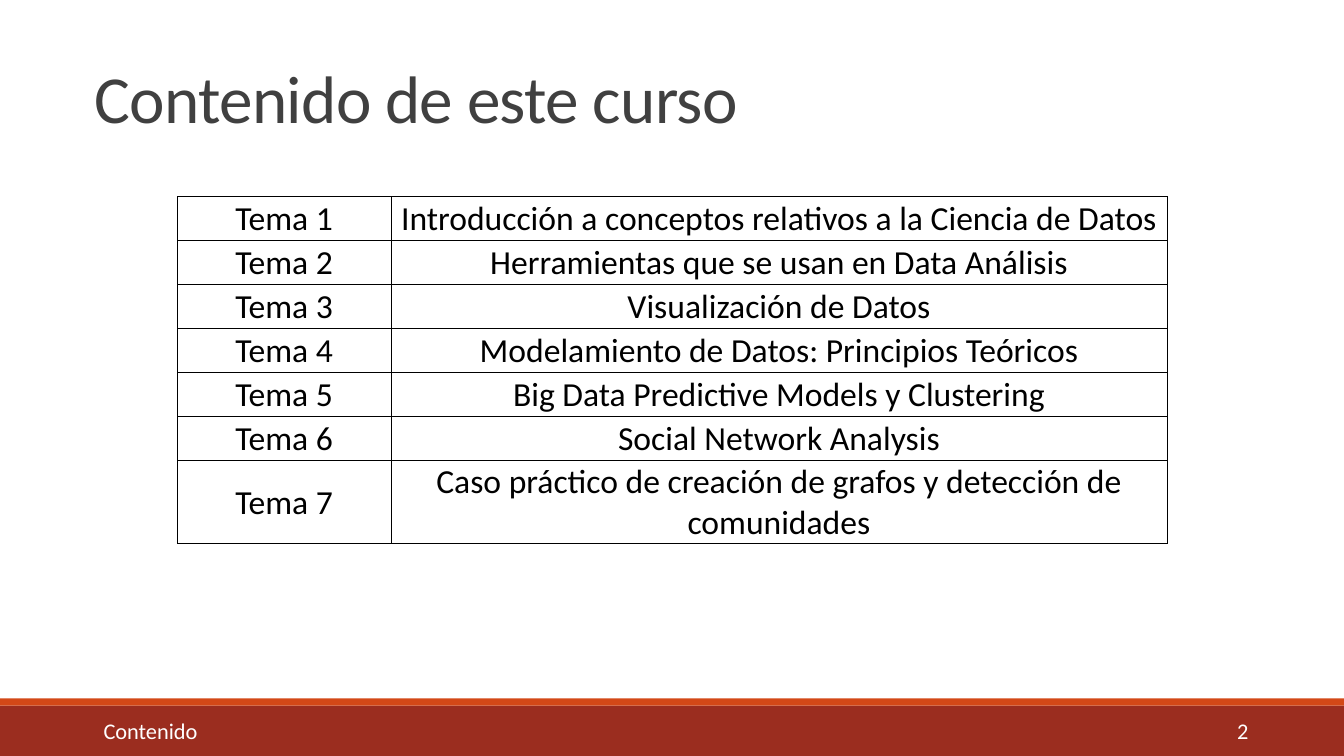
"""Build the course contents slide with its table of topics."""
from dataclasses import dataclass

from lxml import etree
from pptx import Presentation
from pptx import util as u
from pptx.dml.color import RGBColor
from pptx.enum import shapes, text
from pptx.oxml import ns

WHITE = RGBColor(0xFF, 0xFF, 0xFF)
BLACK = RGBColor(0x00, 0x00, 0x00)
GREY = RGBColor(0x40, 0x40, 0x40)
RED = RGBColor(0x9B, 0x2D, 0x1F)
ORANGE = RGBColor(0xD3, 0x48, 0x17)

SLIDE_WIDTH, SLIDE_HEIGHT = u.Cm(33.87), u.Cm(19.05)
ROW_HEIGHT, LAST_ROW_HEIGHT = u.Cm(1.11), u.Cm(2.09)
COLUMN_WIDTHS = (u.Cm(5.38), u.Cm(19.56))
BORDER_WIDTH = u.Pt(0.5)
FOOTER_TAB = u.Cm(28.85)

TITLE_FRAME = {"auto_size": text.MSO_AUTO_SIZE.NONE, "word_wrap": True,
               "vertical_anchor": text.MSO_ANCHOR.TOP}
FOOTER_FRAME = {"word_wrap": True, "vertical_anchor": text.MSO_ANCHOR.MIDDLE,
                "margin_left": u.Cm(0.48)}
CELL_FORMAT = {"vertical_anchor": text.MSO_ANCHOR.MIDDLE, "margin_left": u.Cm(0.02),
               "margin_right": u.Cm(0.02), "margin_top": u.Cm(0.02), "margin_bottom": 0}

TOPICS = (
    "Introducción a conceptos relativos a la Ciencia de Datos",
    "Herramientas que se usan en Data Análisis",
    "Visualización de Datos",
    "Modelamiento de Datos: Principios Teóricos",
    "Big Data Predictive Models y Clustering",
    "Social Network Analysis",
    "Caso práctico de creación de grafos y detección de comunidades",
)


@dataclass(frozen=True)
class Bar:
    top: u.Length
    height: u.Length
    color: RGBColor


@dataclass(frozen=True)
class TextStyle:
    size: float
    color: RGBColor
    align: text.PP_ALIGN = text.PP_ALIGN.LEFT


BARS = (Bar(u.Cm(17.78), u.Cm(1.27), RED), Bar(u.Cm(17.6), u.Cm(0.18), ORANGE))
TITLE_STYLE = TextStyle(48, GREY)
FOOTER_STYLE = TextStyle(16, WHITE)
CELL_STYLE = TextStyle(24, BLACK, text.PP_ALIGN.CENTER)


def apply_format(target: object, values: dict) -> None:
    for name, value in values.items():
        setattr(target, name, value)


def write(paragraph, wording: str, style: TextStyle):
    paragraph.alignment = style.align
    run = paragraph.add_run()
    run.text = wording
    apply_format(run.font, {"name": "Calibri", "size": u.Pt(style.size), "bold": False})
    run.font.color.rgb = style.color
    return run


def add_bar(slide, bar: Bar) -> None:
    shape = slide.shapes.add_shape(shapes.MSO_SHAPE.RECTANGLE, 0, bar.top,
                                   SLIDE_WIDTH, bar.height)
    shape.shadow.inherit = False
    shape.fill.solid()
    shape.fill.fore_color.rgb = bar.color
    shape.line.fill.background()


def add_title(slide) -> None:
    title = slide.shapes.title
    apply_format(title, {"left": u.Cm(2.13), "top": u.Cm(1.6),
                         "width": u.Cm(27.94), "height": u.Cm(2.03)})
    apply_format(title.text_frame, TITLE_FRAME)
    paragraph = title.text_frame.paragraphs[0]
    paragraph.line_spacing = 0.85
    run = write(paragraph, "Contenido de este curso", TITLE_STYLE)
    run._r.get_or_add_rPr().set("spc", "-50")


def add_footer(slide) -> None:
    box = slide.shapes.add_textbox(u.Cm(2.13), u.Cm(17.96), u.Cm(29.62), u.Cm(0.89))
    apply_format(box.text_frame, FOOTER_FRAME)
    paragraph = box.text_frame.paragraphs[0]
    tabs = etree.SubElement(paragraph._p.get_or_add_pPr(), ns.qn("a:tabLst"))
    etree.SubElement(tabs, ns.qn("a:tab"), pos=str(FOOTER_TAB), algn="r")
    write(paragraph, "Contenido\t2", FOOTER_STYLE)


def draw_borders(cell) -> None:
    properties = cell._tc.get_or_add_tcPr()
    for index, side in enumerate(("lnL", "lnR", "lnT", "lnB")):
        line = etree.Element(ns.qn(f"a:{side}"), w=str(BORDER_WIDTH))
        fill = etree.SubElement(line, ns.qn("a:solidFill"))
        etree.SubElement(fill, ns.qn("a:srgbClr"), val=str(BLACK))
        properties.insert(index, line)


def add_topics_table(slide) -> None:
    heights = [ROW_HEIGHT] * (len(TOPICS) - 1) + [LAST_ROW_HEIGHT]
    table = slide.shapes.add_table(len(TOPICS), len(COLUMN_WIDTHS), u.Cm(4.47), u.Cm(4.95),
                                   sum(COLUMN_WIDTHS), sum(heights)).table
    apply_format(table, {"first_row": False, "horz_banding": False})
    for column, width in zip(table.columns, COLUMN_WIDTHS):
        column.width = width
    for number, (row, height, topic) in enumerate(zip(table.rows, heights, TOPICS), 1):
        row.height = height
        for cell, wording in zip(row.cells, (f"Tema {number}", topic)):
            apply_format(cell, CELL_FORMAT)
            cell.fill.background()
            draw_borders(cell)
            write(cell.text_frame.paragraphs[0], wording, CELL_STYLE)


def main() -> None:
    presentation = Presentation()
    apply_format(presentation, {"slide_width": SLIDE_WIDTH, "slide_height": SLIDE_HEIGHT})
    slide = presentation.slides.add_slide(presentation.slide_layouts[5])
    for bar in BARS:
        add_bar(slide, bar)
    add_footer(slide)
    add_title(slide)
    add_topics_table(slide)
    presentation.save("out.pptx")


if __name__ == "__main__":
    main()
